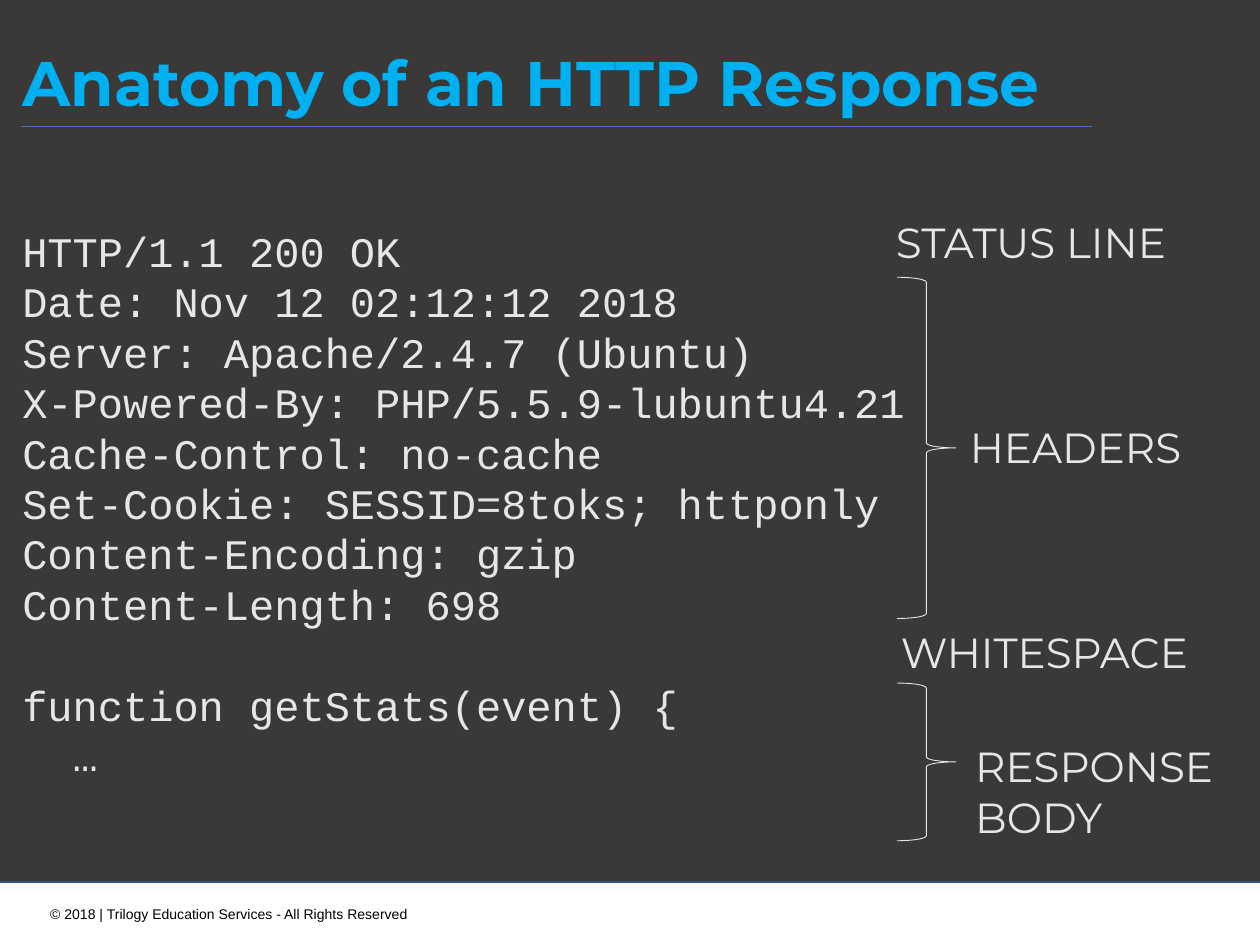
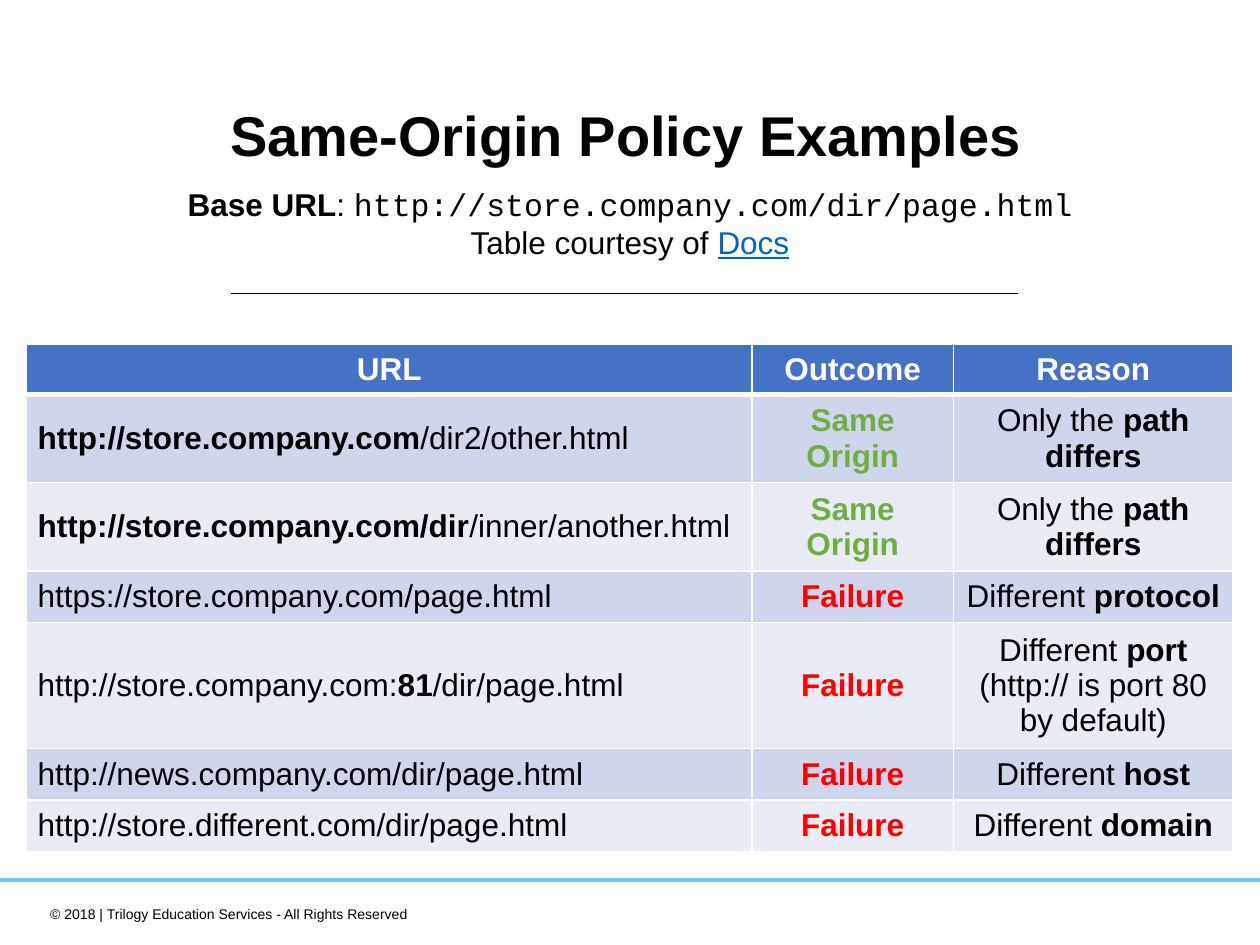
import pptx
import pptx.util
import pptx.dml.color
import pptx.enum.shapes
import pptx.enum.text
import pptx.oxml
import pptx.oxml.ns

Cm = pptx.util.Cm
Pt = pptx.util.Pt
SHAPE = pptx.enum.shapes.MSO_SHAPE
ALIGN = pptx.enum.text.PP_ALIGN
ANCHOR = pptx.enum.text.MSO_ANCHOR

BLACK, WHITE, LIGHT = "000000", "FFFFFF", "E7E6E6"
BLUE, SKY, LINK = "4472C4", "00B0F0", "0563C1"
GREEN, RED = "70AD47", "FF0000"
BANDS = ("CFD5EA", "E9EBF5")
SANS, MONO, DISPLAY = "Arial", "Courier New", "Montserrat"


def rgb(value):
    return pptx.dml.color.RGBColor.from_string(value)


def marked(text):
    return [(part, {"bold": i % 2 == 1}) for i, part in enumerate(text.split("*")) if part]


def write(tf, paragraphs, size=18, font=SANS, color=BLACK, bold=False,
          underline=False, align=ALIGN.LEFT, line=None, gaps=None):
    base = dict(size=size, font=font, color=color, bold=bold, underline=underline)
    for i, runs in enumerate(paragraphs):
        p = tf.paragraphs[0] if i == 0 else tf.add_paragraph()
        p.alignment = align
        if line:
            p.line_spacing = Pt(line)
        if gaps and i in gaps:
            p.space_before = Pt(gaps[i])
        for text, changes in [(runs, {})] if isinstance(runs, str) else runs:
            style = {**base, **changes}
            r = p.add_run()
            r.text = text
            r.font.name = style["font"]
            r.font.size = Pt(style["size"])
            r.font.bold = style["bold"]
            r.font.underline = style["underline"]
            r.font.color.rgb = rgb(style["color"])


def add_border(cell, side, width, color=WHITE):
    cell._tc.get_or_add_tcPr().append(pptx.oxml.parse_xml(
        f'<a:{side} {pptx.oxml.ns.nsdecls("a")} w="{Pt(width)}"><a:solidFill>'
        f'<a:srgbClr val="{color}"/></a:solidFill></a:{side}>'))


class Deck:
    def __init__(self):
        self.prs = pptx.Presentation()
        self.prs.slide_width, self.prs.slide_height = Cm(25.4), Cm(19.05)
        self.slide = None

    def new_slide(self):
        self.slide = self.prs.slides.add_slide(self.prs.slide_layouts[5])
        self.shape(SHAPE.FLOWCHART_PROCESS, 0, 17.7, 25.4, 0.08, fill="6CCCE6")
        self.text(0.43, 18.14, 8.05, 0.61,
                  ["© 2018 | Trilogy Education Services - All Rights Reserved"],
                  size=8, align=ALIGN.RIGHT)

    def title(self, x, y, w, h, text, **style):
        sp = self.slide.shapes.title
        sp.left, sp.top, sp.width, sp.height = Cm(x), Cm(y), Cm(w), Cm(h)
        tf = sp.text_frame
        tf.auto_size = pptx.enum.text.MSO_AUTO_SIZE.NONE
        tf.vertical_anchor = ANCHOR.TOP
        write(tf, [text], bold=True, **style)
        sp._element.getparent().append(sp._element)

    def text(self, x, y, w, h, paragraphs, **style):
        sp = self.slide.shapes.add_textbox(Cm(x), Cm(y), Cm(w), Cm(h))
        sp.text_frame.word_wrap = True
        write(sp.text_frame, paragraphs, **style)

    def shape(self, kind, x, y, w, h, fill=None, line=None, width=0.5):
        sp = self.slide.shapes.add_shape(kind, Cm(x), Cm(y), Cm(w), Cm(h))
        sp.shadow.inherit = False
        if fill:
            sp.fill.solid()
            sp.fill.fore_color.rgb = rgb(fill)
        else:
            sp.fill.background()
        if line:
            sp.line.color.rgb = rgb(line)
            sp.line.width = Pt(width)
        else:
            sp.line.fill.background()

    def rule(self, x1, x2, y, color):
        sp = self.slide.shapes.add_connector(
            pptx.enum.shapes.MSO_CONNECTOR.STRAIGHT, Cm(x1), Cm(y), Cm(x2), Cm(y))
        sp.line.color.rgb = rgb(color)
        sp.line.width = Pt(0.5)
        sp._element.spPr.append(pptx.oxml.parse_xml(
            f'<a:effectLst {pptx.oxml.ns.nsdecls("a")}/>'))

    def table(self, x, y, widths, heights, rows):
        table = self.slide.shapes.add_table(
            len(heights), len(widths), Cm(x), Cm(y),
            Cm(sum(widths)), Cm(sum(heights))).table
        for column, width in zip(table.columns, widths):
            column.width = Cm(width)
        for i, (height, row) in enumerate(zip(heights, rows)):
            table.rows[i].height = Cm(height)
            for j, text in enumerate(row):
                self.cell(table.cell(i, j), i, j, text)

    def cell(self, cell, i, j, text):
        for side in ("lnL", "lnR", "lnT", "lnB"):
            thick = (i, side) in ((0, "lnB"), (1, "lnT"))
            add_border(cell, side, 3 if thick else 1)
        cell.fill.solid()
        cell.fill.fore_color.rgb = rgb(BANDS[(i - 1) % 2] if i else BLUE)
        cell.vertical_anchor = ANCHOR.MIDDLE
        cell.margin_left = cell.margin_right = Cm(0.23)
        color = BLACK if i else WHITE
        if i and j == 1:
            color = RED if "Failure" in text else GREEN
        write(cell.text_frame, [marked(text)], color=color,
              align=ALIGN.CENTER if i == 0 or j else ALIGN.LEFT)


def http_response(deck):
    deck.new_slide()
    deck.shape(SHAPE.RECTANGLE, -0.2, -0.2, 25.83, 17.98, fill="3B3838", line="325491", width=1)
    deck.title(0.2, 0.74, 22.2, 1.8, "Anatomy of an HTTP Response",
               size=36, font=DISPLAY, color=SKY)
    deck.rule(0.43, 22.02, 2.54, BLUE)
    response = [
        "HTTP/1.1 200 OK",
        "Date: Nov 12 02:12:12 2018",
        "Server: Apache/2.4.7 (Ubuntu)",
        "X-Powered-By: PHP/5.5.9-lubuntu4.21",
        "Cache-Control: no-cache",
        "Set-Cookie: SESSID=8toks; httponly",
        "Content-Encoding: gzip",
        "Content-Length: 698",
        "function getStats(event) {",
        "  …",
    ]
    deck.text(0.2, 4.42, 18.54, 12.4, response, size=24, font=MONO,
              color=LIGHT, line=28.8, gaps={8: 28.8})
    labels = [
        (17.81, 4.24, 6.76, 1.27, ["STATUS LINE"]),
        (19.3, 8.38, 5.31, 1.27, ["HEADERS"]),
        (17.91, 12.5, 6.86, 1.27, ["WHITESPACE"]),
        (19.41, 14.81, 5.77, 2.31, ["RESPONSE", "BODY"]),
    ]
    for label in labels:
        deck.text(*label, size=24, font=DISPLAY, color=LIGHT)
    for top, height in ((5.59, 6.88), (13.77, 3.18)):
        deck.shape(SHAPE.RIGHT_BRACE, 18.08, top, 1.19, height, line=LIGHT)


def same_origin(deck):
    deck.new_slide()
    deck.title(4.39, 1.9, 16.59, 1.63, "Same-Origin Policy Examples", size=32)
    deck.text(3.43, 3.61, 18.54, 1.8, [
        [("Base URL", {"bold": True}), (": ", {}),
         ("http://store.company.com/dir/page.html", {"font": MONO})],
        [("Table courtesy of ", {}), ("Docs", {"color": LINK, "underline": True})],
    ], align=ALIGN.CENTER)
    deck.rule(4.65, 20.52, 5.92, BLACK)
    rows = [
        ("*URL*", "*Outcome*", "*Reason*"),
        ("*http://store.company.com*/dir2/other.html", "*Same Origin*", "Only the *path differs*"),
        ("*http://store.company.com/dir*/inner/another.html", "*Same Origin*",
         "Only the *path differs*"),
        ("https://store.company.com/page.html", "*Failure*", "Different *protocol*"),
        ("http://store.company.com:*81*/dir/page.html", "*Failure*",
         "Different *port *(http:// is port 80 by default)"),
        ("http://news.company.com/dir/page.html", "*Failure*", "Different *host*"),
        ("http://store.different.com/dir/page.html", "*Failure*", "Different *domain*"),
    ]
    deck.table(0.53, 6.93, (14.63, 4.06, 5.64),
               (1.02, 1.78, 1.78, 1.04, 2.54, 1.04, 1.04), rows)


def main():
    deck = Deck()
    http_response(deck)
    same_origin(deck)
    deck.prs.save("out.pptx")


if __name__ == "__main__":
    main()
